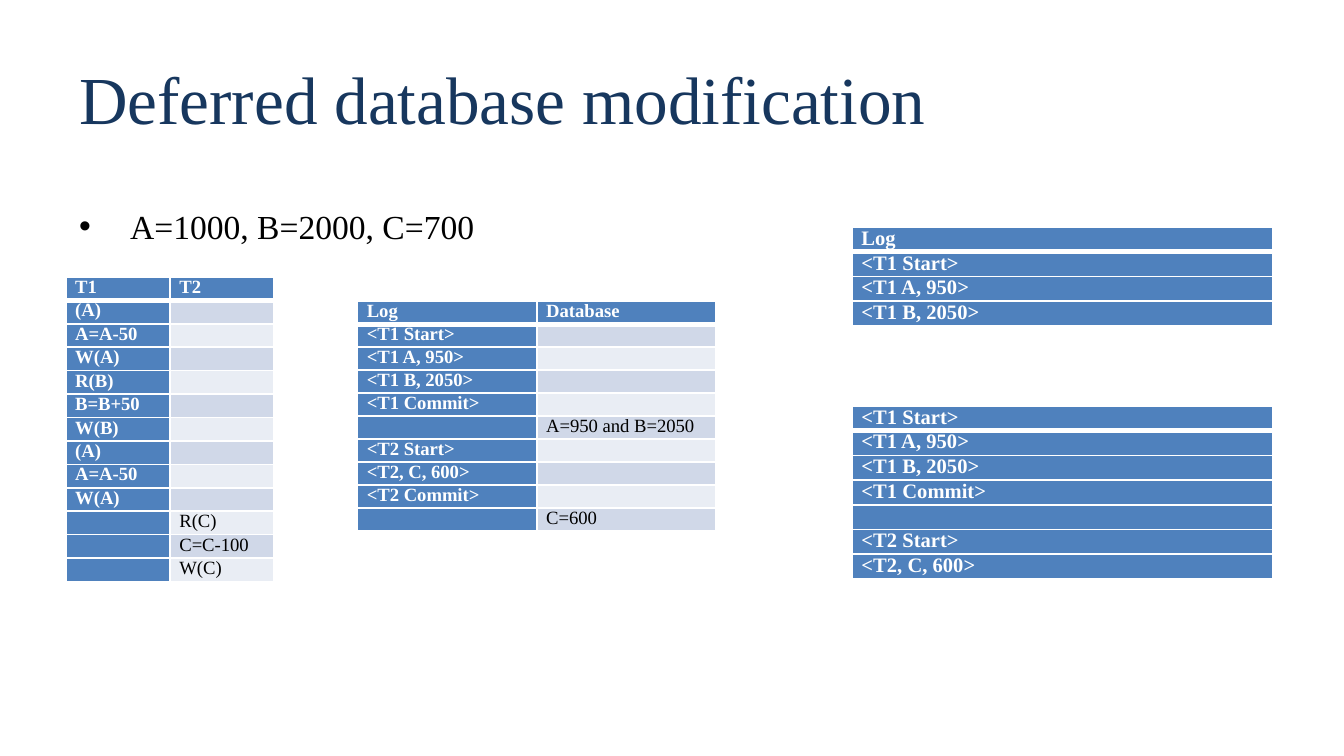
import pptx
import pptx.util
import pptx.dml.color
import pptx.enum.text
import pptx.oxml
import pptx.oxml.ns
from pptx.util import Inches

RGBColor = pptx.dml.color.RGBColor
NAVY = RGBColor(0x17, 0x37, 0x5E)
BLUE = RGBColor(0x4F, 0x81, 0xBD)
DARK = RGBColor(0xD0, 0xD8, 0xE8)
LIGHT = RGBColor(0xE9, 0xED, 0xF4)
WHITE = RGBColor(0xFF, 0xFF, 0xFF)
BLACK = RGBColor(0, 0, 0)
FACE = "Times New Roman"


def style(para, size, color, bold=False):
    para.font.name = FACE
    para.font.size = pptx.util.Pt(size)
    para.font.color.rgb = color
    para.font.bold = bold


def border(cell, side, width):
    props = cell._tc.get_or_add_tcPr()
    line = pptx.oxml.parse_xml(
        f'<a:{side} {pptx.oxml.ns.nsdecls("a")} w="{pptx.util.Pt(width)}">'
        f'<a:solidFill><a:srgbClr val="{WHITE}"/></a:solidFill></a:{side}>')
    props.append(line)


deck = pptx.Presentation()
deck.slide_width = Inches(10)
deck.slide_height = Inches(10) * 9 // 16
slide = deck.slides.add_slide(deck.slide_layouts[6])

title = slide.shapes.add_textbox(Inches(0.49), Inches(0.31), Inches(9.02), Inches(0.84))
frame = title.text_frame
frame.word_wrap = True
frame.vertical_anchor = pptx.enum.text.MSO_ANCHOR.MIDDLE
frame.text = "Deferred database modification"
style(frame.paragraphs[0], 36, NAVY)

body = slide.shapes.add_textbox(Inches(0.49), Inches(1.48), Inches(9.02), Inches(3.84))
frame = body.text_frame
frame.word_wrap = True
frame.text = "A=1000, B=2000, C=700"
para = frame.paragraphs[0]
para.alignment = pptx.enum.text.PP_ALIGN.JUSTIFY
props = para._p.get_or_add_pPr()
props.set("marL", str(Inches(0.38)))
props.set("indent", str(-Inches(0.38)))
props.append(pptx.oxml.parse_xml(f'<a:buFont {pptx.oxml.ns.nsdecls("a")} typeface="Arial"/>'))
props.append(pptx.oxml.parse_xml(f'<a:buChar {pptx.oxml.ns.nsdecls("a")} char="•"/>'))
style(para, 18, BLACK)

first = ["<T1 Start>", "<T1 A, 950>", "<T1 B, 2050>"]
steps = ["(A)", "A=A-50", "W(A)", "R(B)", "B=B+50", "W(B)", "(A)", "A=A-50", "W(A)"]
tables = [
    (2.66, 2.24, 2.67, 1.71, 10,
     [("Log", "Database")] + [(text, "") for text in first]
     + [("<T1 Commit>", ""), ("", "A=950 and B=2050"), ("<T2 Start>", ""),
        ("<T2, C, 600>", ""), ("<T2 Commit>", ""), ("", "C=600")]),
    (6.34, 1.69, 3.13, 0.73, 11, [(text,) for text in ["Log"] + first]),
    (6.34, 3.02, 3.13, 1.28, 11,
     [(text,) for text in first + ["<T1 Commit>", "", "<T2 Start>", "<T2, C, 600>"]]),
    (0.49, 2.06, 1.55, 2.27, 10,
     [("T1", "T2")] + [(text, "") for text in steps]
     + [("", text) for text in ["R(C)", "C=C-100", "W(C)"]]),
]

for left, top, width, height, size, rows in tables:
    table = slide.shapes.add_table(
        len(rows), len(rows[0]), Inches(left), Inches(top), Inches(width), Inches(height)).table
    table.horz_banding = False
    table.first_row = False
    look = table._tbl.tblPr
    look.remove(look.find(pptx.oxml.ns.qn("a:tableStyleId")))
    for r, row in enumerate(rows):
        for c, text in enumerate(row):
            cell = table.cell(r, c)
            cell.margin_left = cell.margin_right = Inches(0.07)
            cell.margin_top = cell.margin_bottom = 0
            head = r == 0 or c == 0
            for side in ("lnL", "lnR", "lnT", "lnB"):
                thick = (r == 0 and side == "lnB") or (r == 1 and side == "lnT")
                border(cell, side, 3 if thick else 1)
            cell.fill.solid()
            cell.fill.fore_color.rgb = BLUE if head else DARK if r % 2 else LIGHT
            cell.text = text
            para = cell.text_frame.paragraphs[0]
            style(para, size, WHITE if head else BLACK, head)
            if not text:
                para._p.get_or_add_endParaRPr().set("sz", str(size * 100))

deck.save("out.pptx")
